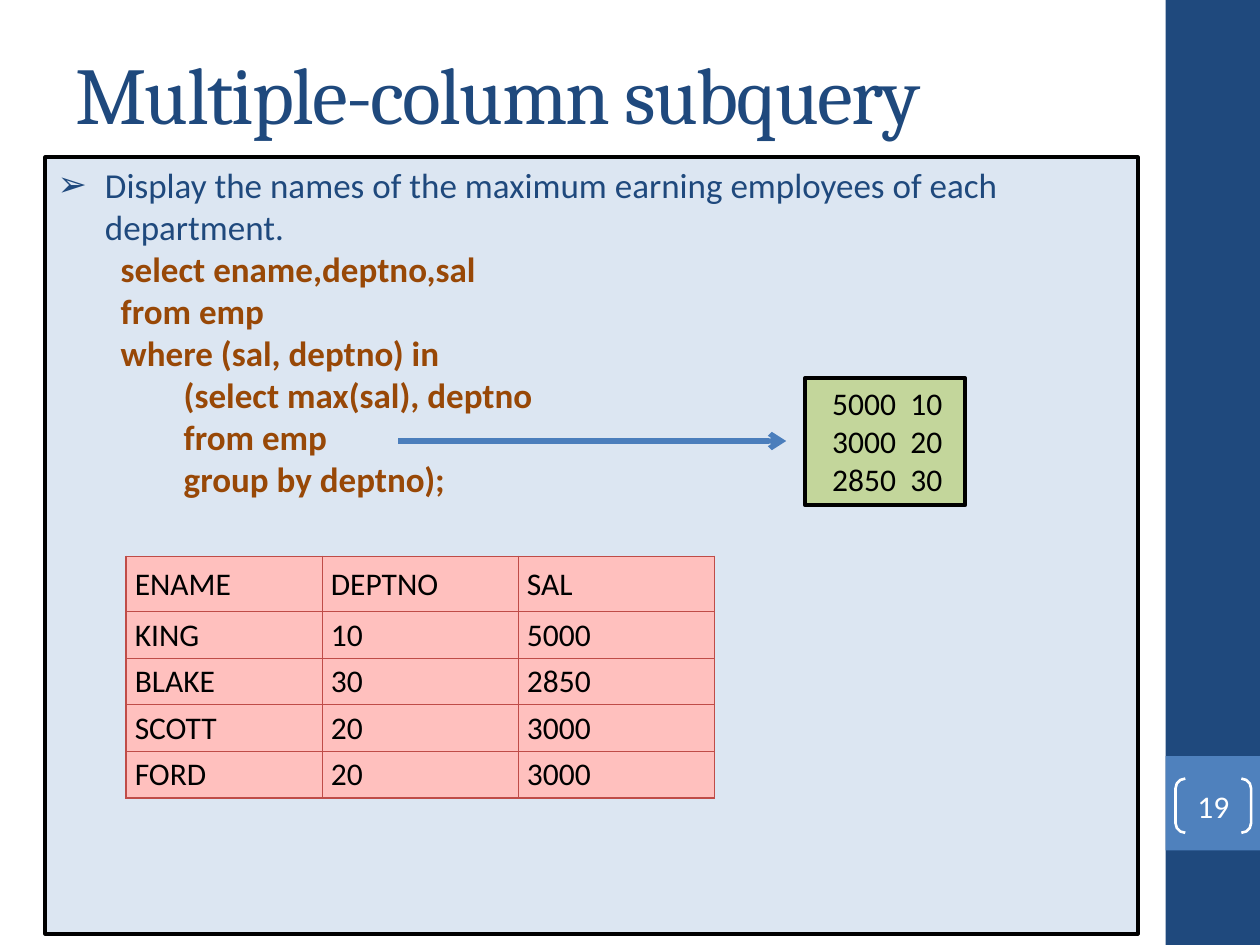
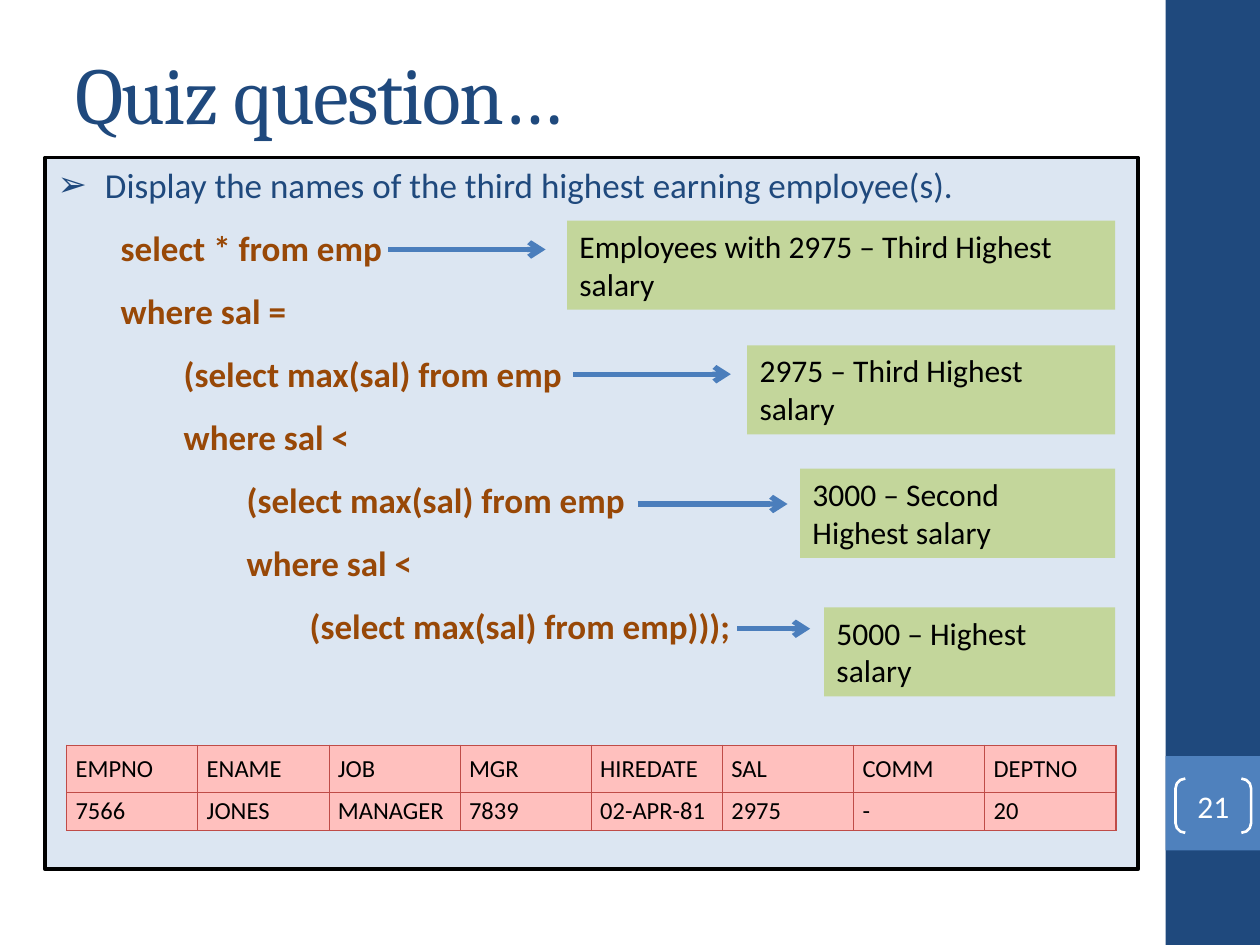
from lxml.etree import SubElement
from pptx import Presentation
from pptx.dml.color import RGBColor
from pptx.enum.shapes import MSO_CONNECTOR, MSO_SHAPE
from pptx.enum.text import MSO_ANCHOR, PP_ALIGN
from pptx.oxml.ns import qn
from pptx.util import Inches, Pt

# Grid of 40 columns by 30 rows on a 10 x 7.5 inch slide
COLS, ROWS, CELL = 40, 30, 0.25

NAVY, BLUE, ARROW = "1F497D", "4F81BD", "4B7EBC"
PANEL, GREEN, PINK, RED = "DCE6F2", "C3D69B", "FFC0BE", "BF4C48"
BROWN, BLACK, WHITE = "984807", "000000", "FFFFFF"

# Text formats
TITLE = dict(name="Cambria", size=Pt(46), color=NAVY)
QUESTION = dict(name="Calibri", size=Pt(20), color=NAVY)
CODE = dict(QUESTION, color=BROWN, bold=True)
NOTE = dict(name="Calibri", size=Pt(18), color=BLACK)
SMALL = dict(NOTE, size=Pt(14))
NUMBER = dict(NOTE, color=WHITE)


def grid(n):
    return Inches(n * CELL)


def rgb(hex_text):
    return RGBColor.from_string(hex_text)


class Deck:
    def __init__(self):
        self.prs = Presentation()
        self.prs.slide_width, self.prs.slide_height = grid(COLS), grid(ROWS)
        self.s = None

    def new_slide(self, title, number):
        """Start a slide with the side band, page number and title."""
        self.s = self.prs.slides.add_slide(self.prs.slide_layouts[6])
        self.box(37, 0, 3, ROWS, NAVY)
        self.box(37, 24, 3, 3, BLUE)
        sp = self.box(37.32, 24.72, 2.4, 1.72, None, (WHITE, 1.5),
                      MSO_SHAPE.DOUBLE_BRACKET)
        sp.adjustments[0] = 0.18
        tf = self.frame(sp, MSO_ANCHOR.MIDDLE, 0, 0, 0, 0)
        self.text(tf.paragraphs[0], number, NUMBER).alignment = PP_ALIGN.CENTER
        sp = self.s.shapes.add_textbox(*map(grid, (2, 1.2, 33.32, 3.48)))
        p = self.text(self.frame(sp, MSO_ANCHOR.MIDDLE).paragraphs[0], title, TITLE)
        p.runs[0]._r.get_or_add_rPr().set("spc", "-100")

    def box(self, x, y, w, h, fill, line=None, kind=MSO_SHAPE.RECTANGLE):
        sp = self.s.shapes.add_shape(kind, *map(grid, (x, y, w, h)))
        sp.shadow.inherit = False
        if fill:
            sp.fill.solid()
            sp.fill.fore_color.rgb = rgb(fill)
        else:
            sp.fill.background()
        if line:
            sp.line.color.rgb, sp.line.width = rgb(line[0]), Pt(line[1])
        else:
            sp.line.fill.background()
        return sp

    def frame(self, sp, anchor=MSO_ANCHOR.TOP, left=0.4, top=0.2, right=0.4, bottom=0.2):
        tf = sp.text_frame
        for key, value in dict(left=left, top=top, right=right, bottom=bottom).items():
            setattr(tf, f"margin_{key}", grid(value))
        tf.word_wrap, tf.vertical_anchor = True, anchor
        return tf

    def text(self, p, words, style):
        p.alignment = PP_ALIGN.LEFT
        r = p.add_run()
        r.text = words
        for key, value in style.items():
            if key == "color":
                r.font.color.rgb = rgb(value)
            else:
                setattr(r.font, key, value)
        return p

    def indent(self, p, left, first=0):
        pPr = p._p.get_or_add_pPr()
        pPr.set("marL", str(grid(left)))
        pPr.set("indent", str(grid(first)))
        return pPr

    def panel(self, height, question, code, gap=0):
        """Framed panel: a bulleted question, then (level, line) pairs of code."""
        tf = self.frame(self.box(1.44, 5, 34.68, height, PANEL, (BLACK, 2.25)))
        p = self.text(tf.paragraphs[0], question, QUESTION)
        pPr = self.indent(p, 1.5, -1.5)
        SubElement(pPr, qn("a:buFont"), typeface="Arial")
        SubElement(pPr, qn("a:buChar"), char="➢")
        for level, line in code:
            p = self.text(tf.add_paragraph(), line, CODE)
            p.space_before = Pt(gap)
            self.indent(p, 2 * level)

    def note(self, x, y, w, h, lines, line=None, left=0.4, tab=None):
        tf = self.frame(self.box(x, y, w, h, GREEN, line), left=left)
        for i, words in enumerate(lines):
            p = tf.add_paragraph() if i else tf.paragraphs[0]
            self.text(p, words, NOTE)
            if tab:
                stops = SubElement(p._p.get_or_add_pPr(), qn("a:tabLst"))
                SubElement(stops, qn("a:tab"), pos=str(grid(tab)), algn="l")

    def arrow(self, x1, x2, y):
        c = self.s.shapes.add_connector(MSO_CONNECTOR.STRAIGHT, *map(grid, (x1, y, x2, y)))
        c.line.color.rgb, c.line.width = rgb(ARROW), Pt(3)
        spPr = c._element.spPr
        SubElement(spPr.find(qn("a:ln")), qn("a:tailEnd"), type="arrow")
        SubElement(spPr, qn("a:effectLst"))

    def table(self, x, y, w, head, body, rows, style):
        """Table with a header of height head and body rows of height body."""
        h = head + body * (len(rows) - 1)
        t = self.s.shapes.add_table(len(rows), len(rows[0]), *map(grid, (x, y, w, h))).table
        t.first_row = t.horz_banding = False
        for col in t.columns:
            col.width = grid(w / len(rows[0]))
        for i, row in enumerate(rows):
            t.rows[i].height = grid(body if i else head)
            for j, words in enumerate(row):
                self.cell(t.cell(i, j), words, style, header=i == 0)

    def cell(self, cell, words, style, header):
        cell.margin_left = cell.margin_right = grid(0.28)
        cell.margin_top = cell.margin_bottom = grid(0.28 if header else 0.14)
        cell.vertical_anchor = MSO_ANCHOR.BOTTOM if header else MSO_ANCHOR.MIDDLE
        self.text(cell.text_frame.paragraphs[0], words, style)
        tcPr = cell._tc.get_or_add_tcPr()
        for side in "LRTB":
            ln = SubElement(tcPr, qn(f"a:ln{side}"), w=str(Pt(0.75)))
            SubElement(SubElement(ln, qn("a:solidFill")), qn("a:srgbClr"), val=RED)
        cell.fill.solid()
        cell.fill.fore_color.rgb = rgb(PINK)


def multiple_column(deck):
    deck.new_slide("Multiple-column subquery", "19")
    deck.panel(24.64, "Display the names of the maximum earning employees of each department.", [
        (1, "select ename,deptno,sal"),
        (1, "from emp"),
        (1, "where (sal, deptno) in"),
        (2, "(select max(sal), deptno"),
        (2, "from emp"),
        (2, "group by deptno);"),
    ])
    # Result of the inner query
    deck.arrow(12.64, 24.96, 14)
    deck.note(25.56, 12, 5.08, 4.04, ["5000\t10", "3000\t20", "2850\t30"],
              (BLACK, 2.25), left=0.86, tab=2.48)
    # Result of the whole query
    deck.table(4, 17.66, 18.68, 1.74, 1.46, [
        ("ENAME", "DEPTNO", "SAL"),
        ("KING", "10", "5000"),
        ("BLAKE", "30", "2850"),
        ("SCOTT", "20", "3000"),
        ("FORD", "20", "3000"),
    ], NOTE)


def quiz(deck):
    deck.new_slide("Quiz question…", "21")
    deck.panel(22.6, "Display the names of the third highest earning employee(s).", [
        (1, "select * from emp"),
        (1, "where sal ="),
        (2, "(select max(sal) from emp"),
        (2, "where sal <"),
        (3, "(select max(sal) from emp"),
        (3, "where sal <"),
        (4, "(select max(sal) from emp)));"),
    ], gap=12)
    # Each query level points to its result; notes share a right edge
    right = 35.4
    for x1, x2, y, left, top, words in [
        (12.32, 17.32, 7.92, 18, 7, "Employees with 2975 – Third Highest salary"),
        (18.2, 23.2, 11.88, 23.72, 10.96, "2975 – Third Highest salary"),
        (20.24, 25, 16, 25.4, 14.88, "3000 – Second Highest salary"),
        (23.4, 25.72, 19.96, 26.16, 19.28, "5000 – Highest salary"),
    ]:
        deck.arrow(x1, x2, y)
        deck.note(left, top, right - left, 2.83, [words])
    # Result of the whole query
    deck.table(2.12, 23.66, 33.32, 1.47, 1.2, [
        ("EMPNO", "ENAME", "JOB", "MGR", "HIREDATE", "SAL", "COMM", "DEPTNO"),
        ("7566", "JONES", "MANAGER", "7839", "02-APR-81", "2975", "-", "20"),
    ], SMALL)


def main():
    deck = Deck()
    multiple_column(deck)
    quiz(deck)
    deck.prs.save("out.pptx")


if __name__ == "__main__":
    main()
